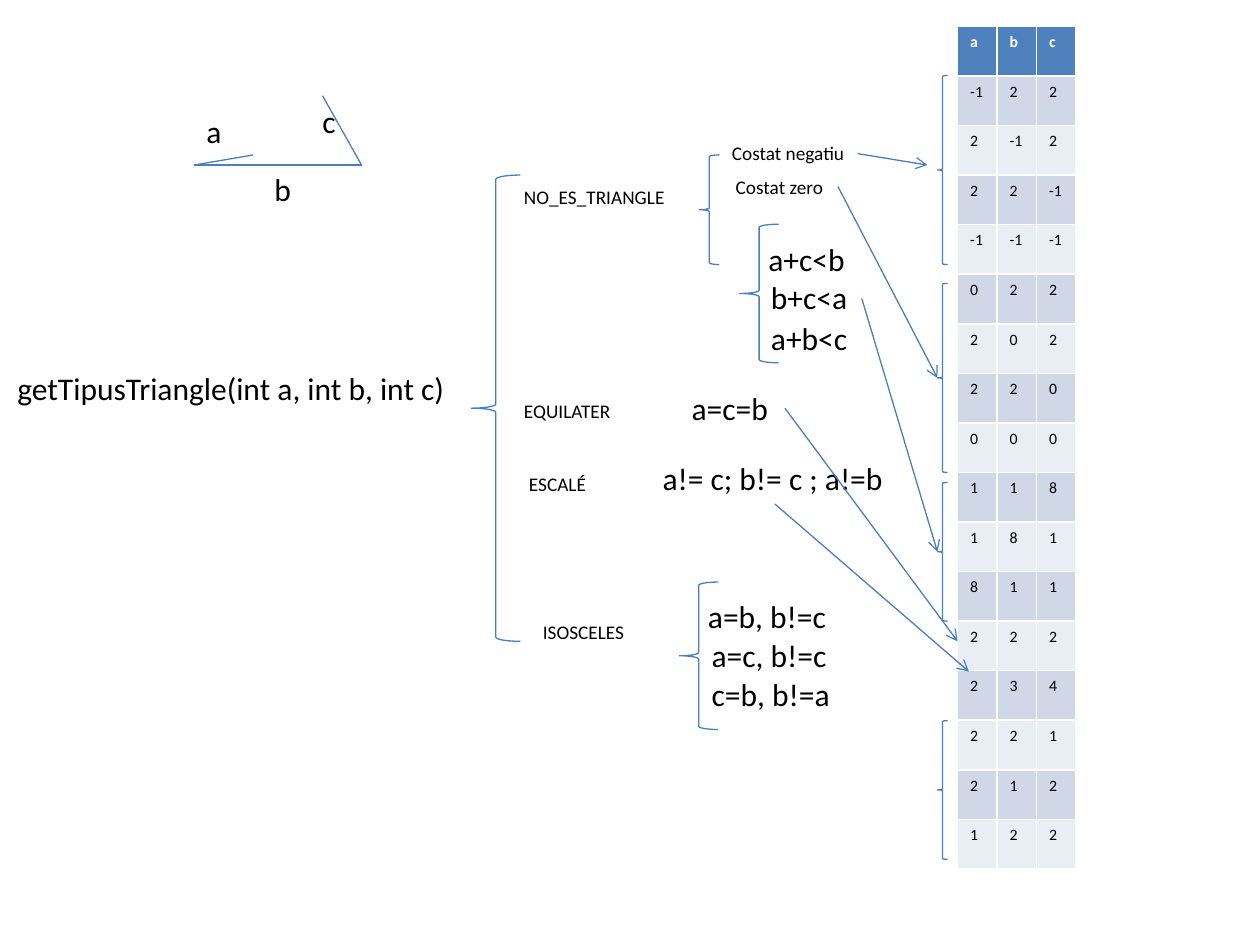
from dataclasses import dataclass
from lxml.etree import SubElement
from pptx import Presentation
from pptx.dml.color import RGBColor
from pptx.enum.shapes import MSO_CONNECTOR, MSO_SHAPE
from pptx.enum.text import MSO_AUTO_SIZE
from pptx.oxml.ns import qn
from pptx.util import Inches, Pt


@dataclass(frozen=True)
class Theme:
    font: str = "Calibri"
    ink: str = "000000"
    white: str = "FFFFFF"
    line: str = "4B7EBC"
    head: str = "4F81BD"
    bands: tuple = ("D0D8E8", "E9EDF4")
    big: int = 18
    small: int = 11
    tiny: int = 9
    stroke: float = 0.75


def write(frame, text, size, color, bold=False):
    run = frame.paragraphs[0].add_run()
    run.text = text
    run.font.name = Theme.font
    run.font.size = Pt(size)
    run.font.bold = bold
    run.font.color.rgb = RGBColor.from_string(color)


class Board:
    def __init__(self, slide, theme):
        self.slide, self.theme = slide, theme

    def label(self, text, left, top, width, size=None, wrap=False):
        size = size or self.theme.big
        height = 0.4 if size == self.theme.big else 0.29
        box = self.slide.shapes.add_textbox(*map(Inches, (left, top, width, height)))
        frame = box.text_frame
        frame.word_wrap = wrap
        frame.auto_size = MSO_AUTO_SIZE.SHAPE_TO_FIT_TEXT
        write(frame, text, size, self.theme.ink)

    def stroke(self, shape):
        shape.line.color.rgb = RGBColor.from_string(self.theme.line)
        shape.line.width = Pt(self.theme.stroke)

    def brace(self, left, top, width, height):
        shape = self.slide.shapes.add_shape(
            MSO_SHAPE.LEFT_BRACE, *map(Inches, (left, top, width, height)))
        shape.shadow.inherit = False
        shape.fill.background()
        self.stroke(shape)

    def link(self, start, end, arrow=False):
        line = self.slide.shapes.add_connector(
            MSO_CONNECTOR.STRAIGHT, *map(Inches, (*start, *end)))
        self.stroke(line)
        props = line._element.spPr
        if arrow:
            SubElement(props.find(qn("a:ln")), qn("a:tailEnd"), type="arrow")
        SubElement(props, qn("a:effectLst"))

    def table(self, rows, left, top, width, height):
        theme = self.theme
        grid = self.slide.shapes.add_table(
            len(rows), len(rows[0]), *map(Inches, (left, top, width, height))).table
        for r, row in enumerate(rows):
            fill = theme.bands[(r - 1) % 2] if r else theme.head
            for c, value in enumerate(row):
                cell = grid.cell(r, c)
                cell.fill.solid()
                cell.fill.fore_color.rgb = RGBColor.from_string(fill)
                write(cell.text_frame, str(value), theme.tiny,
                      theme.ink if r else theme.white, bold=r == 0)


deck = Presentation()
deck.slide_width, deck.slide_height = Inches(10), Inches(7.5)
theme = Theme()
board = Board(deck.slides.add_slide(deck.slide_layouts[6]), theme)

# Test cases
cases = [
    "abc",
    (-1, 2, 2), (2, -1, 2), (2, 2, -1), (-1, -1, -1),
    (0, 2, 2), (2, 0, 2), (2, 2, 0), (0, 0, 0),
    (1, 1, 8), (1, 8, 1), (8, 1, 1),
    (2, 2, 2), (2, 3, 4),
    (2, 2, 1), (2, 1, 2), (1, 2, 2),
]
board.table(cases, 7.6, 0.21, 0.94, 6.69)

# Open triangle
left, right = (1.54, 1.31), (2.87, 1.31)
for start, end in [(left, right), (left, (2.01, 1.23)), (right, (2.56, 0.76))]:
    board.link(start, end)
for side in [("a", 1.54, 0.84, 0.32), ("b", 2.08, 1.3, 0.34), ("c", 2.46, 0.76, 0.31)]:
    board.label(*side)

# Function and its results
board.label("getTipusTriangle(int a, int b, int c)", 0.04, 2.88, 3.63)
for name in [
    ("NO_ES_TRIANGLE", 4.06, 1.42, 1.33),
    ("Costat negatiu", 5.71, 1.07, 1.1),
    ("Costat zero", 5.74, 1.34, 0.91),
    ("EQUILATER", 4.06, 3.12, 0.91),
    ("ESCALÉ", 4.1, 3.7, 0.66),
    ("ISOSCELES", 4.21, 4.87, 0.85),
]:
    board.label(*name, size=theme.small)

# Conditions
for rule in [
    ("a+c<b", 6, 1.86, 0.82),
    ("b+c<a", 6.02, 2.16, 0.82),
    ("a+b<c", 6.02, 2.48, 0.82),
    ("a=c=b", 5.39, 3.04, 0.84),
    ("a!= c; b!= c ; a!=b", 5.16, 3.59, 1.98),
]:
    board.label(*rule)
for rule in [
    ("a=b, b!=c", 5.52, 4.69, 1.45),
    ("a=c, b!=c", 5.55, 5, 1.34),
    ("c=b, b!=a", 5.55, 5.31, 1.65),
]:
    board.label(*rule, wrap=True)

# Braces around the results, then beside the table
for place in [(3.74, 1.39, 0.39, 3.7), (5.55, 1.23, 0.16, 0.87),
              (5.87, 1.78, 0.31, 1.1), (5.39, 4.62, 0.31, 1.17)]:
    board.brace(*place)
for top, height in [(0.6, 1.5), (2.25, 1.5), (3.83, 1.1), (5.72, 1.1)]:
    board.brace(7.44, top, 0.08, height)

# Arrows from conditions to cases
for start, end in [
    ((6.81, 1.22), (7.36, 1.31)),
    ((6.65, 1.48), (7.44, 3)),
    ((6.84, 2.37), (7.44, 4.38)),
    ((6.23, 3.24), (7.6, 5.09)),
    ((6.15, 4), (7.69, 5.33)),
]:
    board.link(start, end, arrow=True)

deck.save("out.pptx")
